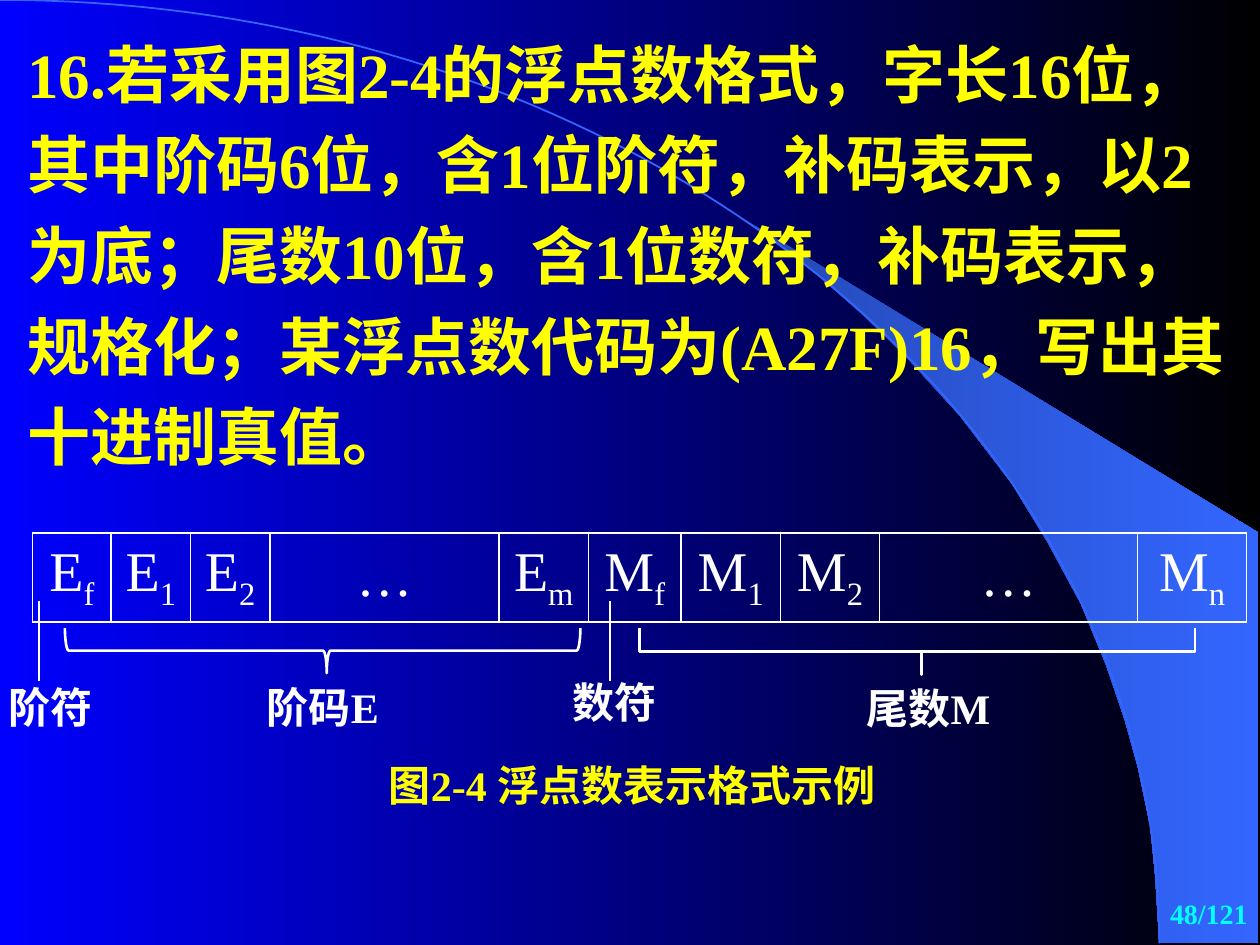
from dataclasses import dataclass
from typing import Sequence

from lxml import etree
from pptx import Presentation
from pptx import util as u
from pptx.dml.color import RGBColor
from pptx.enum import shapes, text
from pptx.oxml import ns


@dataclass(frozen=True)
class Theme:
    font: str = "Times New Roman"
    white: RGBColor = RGBColor(0xFF, 0xFF, 0xFF)
    yellow: RGBColor = RGBColor(0xFF, 0xFF, 0x00)
    cyan: RGBColor = RGBColor(0x00, 0xFF, 0xFF)
    blue: RGBColor = RGBColor(0x00, 0x00, 0xFF)
    black: RGBColor = RGBColor(0x00, 0x00, 0x00)
    arc: RGBColor = RGBColor(0x33, 0x66, 0xFF)
    crescent: RGBColor = RGBColor(0x24, 0x49, 0xB6)
    question_size: int = 36
    field_size: int = 32
    label_size: int = 24
    page_size: int = 16
    thin: float = 1
    thick: float = 1.5


THEME = Theme()


@dataclass(frozen=True)
class Label:
    """Bold text with its place in centimetres."""
    words: str
    left: float
    top: float
    width: float
    height: float = 1.27
    size: int = THEME.label_size
    color: RGBColor = THEME.white
    spacing: float = 1.0
    align: text.PP_ALIGN = text.PP_ALIGN.LEFT
    anchor: text.MSO_ANCHOR = text.MSO_ANCHOR.TOP


@dataclass(frozen=True)
class Field:
    """One cell of the number format: symbol, subscript, width in centimetres."""
    symbol: str
    sub: str
    width: float


@dataclass(frozen=True)
class Brace:
    """A left brace before its quarter turn, in centimetres."""
    left: float
    top: float
    width: float
    height: float
    curl: float


Point = tuple[float, float]

LABELS = [
    Label("16.若采用图2-4的浮点数格式，字长16位，其中阶码6位，含1位阶符，补码表示，"
          "以2为底；尾数10位，含1位数符，补码表示，规格化；某浮点数代码为(A27F)16，"
          "写出其十进制真值。", 0.3, 0.28, 24.82, 9.32,
          THEME.question_size, THEME.yellow, 1.2),
    Label("阶符", -0.08, 13.61, 2.39),
    Label("阶码E", 5.13, 13.61, 3.2),
    Label("数符", 11.3, 13.52, 2.39),
    Label("尾数M", 17.22, 13.63, 3.18),
    Label("图2-4 浮点数表示格式示例", 7.59, 15.19, 10.59, color=THEME.yellow),
    Label("48/121", 22.3, 17.78, 3.1, size=THEME.page_size, color=THEME.cyan,
          align=text.PP_ALIGN.RIGHT, anchor=text.MSO_ANCHOR.MIDDLE),
]
FIELDS = [
    Field("E", "f", 1.58), Field("E", "1", 1.6), Field("E", "2", 1.6),
    Field("…", "", 4.62), Field("E", "m", 1.8),
    Field("M", "f", 1.87), Field("M", "1", 2.0), Field("M", "2", 2.0),
    Field("…", "", 5.2), Field("M", "n", 2.2),
]
BRACES = [Brace(6.05, 7.92, 0.91, 10.39, 0.083), Brace(18.02, 7.53, 0.94, 11.2, 0)]
SIGN_LINES = [0.79, 12.29]
CRESCENT = [
    (23.37, 19.0), (25.37, 19.02), (25.37, 10.74), (14.96, 4.39), (15.85, 5.05),
    (16.59, 5.64), (17.4, 6.35), (18.19, 7.11), (19.35, 8.38), (20.4, 9.75),
    (21.13, 10.95), (21.79, 12.17), (22.3, 13.41), (22.68, 14.53),
    (22.94, 15.47), (23.19, 16.66), (23.29, 17.68),
]
ARC_CONTROLS = [(0, 0), (12.9, 0), (23.37, 8.51), (23.37, 19.02)]


def bezier(controls: Sequence[Point], steps: int = 80) -> list[Point]:
    """Sample a cubic curve as a row of points."""
    def at(t: float) -> Point:
        weights = ((1 - t) ** 3, 3 * t * (1 - t) ** 2, 3 * t * t * (1 - t), t ** 3)
        x, y = (sum(w * p[axis] for w, p in zip(weights, controls)) for axis in (0, 1))
        return x, y
    return [at(i / steps) for i in range(steps + 1)]


def set_gradient(fill, first: RGBColor, last: RGBColor) -> None:
    fill.gradient()
    fill.gradient_angle = 0
    for stop, color in zip(fill.gradient_stops, (first, last)):
        stop.color.rgb = color


def set_line(line, color: RGBColor, points: float) -> None:
    line.color.rgb = color
    line.width = u.Pt(points)


def format_run(run, size: int, color: RGBColor, bold: bool) -> None:
    run.font.name = THEME.font
    run.font.size = u.Pt(size)
    run.font.color.rgb = color
    run.font.bold = bold


def draw_outline(slide, points: Sequence[Point], close: bool):
    start, *rest = [(u.Cm(x), u.Cm(y)) for x, y in points]
    builder = slide.shapes.build_freeform(*start)
    builder.add_line_segments(rest, close=close)
    outline = builder.convert_to_shape()
    outline.shadow.inherit = False
    return outline


def draw_backdrop(slide) -> None:
    set_gradient(slide.background.fill, THEME.blue, THEME.black)
    crescent = draw_outline(slide, CRESCENT, close=True)
    set_gradient(crescent.fill, THEME.crescent, THEME.arc)
    crescent.line.fill.background()
    arc = draw_outline(slide, bezier(ARC_CONTROLS), close=False)
    arc.fill.background()
    set_line(arc.line, THEME.arc, THEME.thin)


def draw_label(slide, label: Label) -> None:
    box = slide.shapes.add_textbox(u.Cm(label.left), u.Cm(label.top),
                                   u.Cm(label.width), u.Cm(label.height))
    frame = box.text_frame
    frame.word_wrap = True
    frame.vertical_anchor = label.anchor
    frame.text = label.words
    paragraph = frame.paragraphs[0]
    paragraph.alignment = label.align
    paragraph.line_spacing = label.spacing
    paragraph._p.get_or_add_pPr().set("hangingPunct", "0")
    format_run(paragraph.runs[0], label.size, label.color, True)


def add_borders(cell) -> None:
    properties = cell._tc.get_or_add_tcPr()
    for side in ("a:lnL", "a:lnR", "a:lnT", "a:lnB"):
        line = etree.SubElement(properties, ns.qn(side), w=str(u.Pt(THEME.thin)))
        fill = etree.SubElement(line, ns.qn("a:solidFill"))
        etree.SubElement(fill, ns.qn("a:srgbClr"), val=str(THEME.white))


def draw_format(slide, fields: Sequence[Field]) -> None:
    total = sum(field.width for field in fields)
    table = slide.shapes.add_table(1, len(fields), u.Cm(0.66), u.Cm(10.74),
                                   u.Cm(total), u.Cm(1.8)).table
    table.first_row = table.horz_banding = False
    for column, cell, field in zip(table.columns, table.rows[0].cells, fields):
        column.width = u.Cm(field.width)
        add_borders(cell)
        cell.fill.background()
        cell.vertical_anchor = text.MSO_ANCHOR.MIDDLE
        paragraph = cell.text_frame.paragraphs[0]
        paragraph.alignment = text.PP_ALIGN.CENTER
        for part, baseline in ((field.symbol, 0), (field.sub, -25000)):
            if part:
                run = paragraph.add_run()
                run.text = part
                format_run(run, THEME.field_size, THEME.white, False)
                run.font._element.set("baseline", str(baseline))


def draw_brace(slide, brace: Brace) -> None:
    shape = slide.shapes.add_shape(shapes.MSO_SHAPE.LEFT_BRACE, u.Cm(brace.left),
                                   u.Cm(brace.top), u.Cm(brace.width), u.Cm(brace.height))
    shape.rotation = 270
    shape.adjustments[0] = brace.curl
    shape.adjustments[1] = 0.508
    shape.shadow.inherit = False
    shape.fill.background()
    set_line(shape.line, THEME.white, THEME.thick)


def draw_sign_line(slide, x: float) -> None:
    line = slide.shapes.add_connector(shapes.MSO_CONNECTOR.STRAIGHT, u.Cm(x),
                                      u.Cm(12.12), u.Cm(x), u.Cm(13.73))
    set_line(line.line, THEME.white, THEME.thin)
    etree.SubElement(line._element.spPr, ns.qn("a:effectLst"))


def main() -> None:
    deck = Presentation()
    deck.slide_width, deck.slide_height = u.Cm(25.4), u.Cm(19.05)
    slide = deck.slides.add_slide(deck.slide_layouts[6])
    draw_backdrop(slide)
    draw_format(slide, FIELDS)
    for brace in BRACES:
        draw_brace(slide, brace)
    for x in SIGN_LINES:
        draw_sign_line(slide, x)
    for label in LABELS:
        draw_label(slide, label)
    deck.save("out.pptx")


if __name__ == "__main__":
    main()
